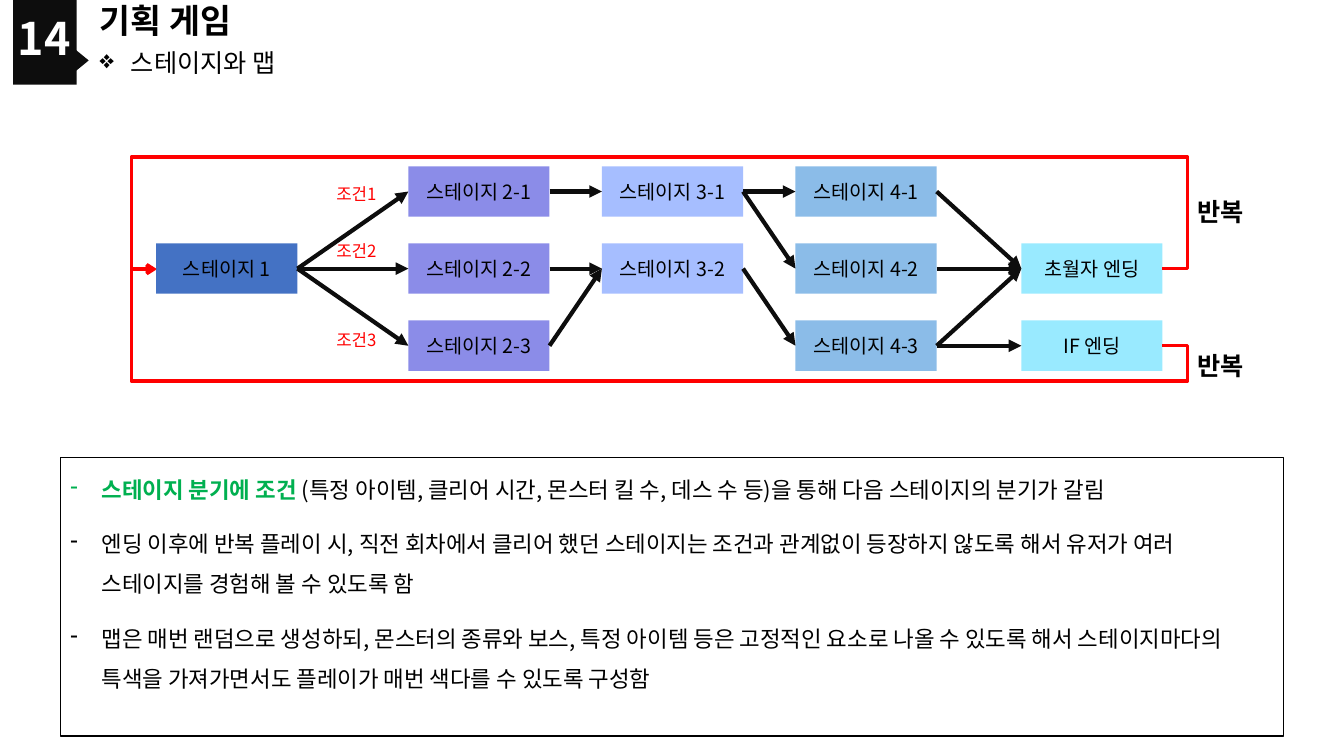
from lxml import etree
from pptx import Presentation, util as u
from pptx.dml.color import RGBColor
from pptx.enum import shapes as sh, text as tx
from pptx.oxml.ns import qn

FONT = "Noto Sans CJK KR"
BLACK = RGBColor(0, 0, 0)
INK = RGBColor(0x0D, 0x0D, 0x0D)
WHITE = RGBColor(0xFF, 0xFF, 0xFF)
RED = RGBColor(0xFF, 0, 0)
GREEN = RGBColor(0, 0xB0, 0x50)
BLUE = RGBColor(0x44, 0x72, 0xC4)
VIOLET = RGBColor(0x8B, 0x8C, 0xE8)
LILAC = RGBColor(0xA6, 0xBE, 0xFF)
SKY = RGBColor(0x8B, 0xBC, 0xE8)
CYAN = RGBColor(0x99, 0xEA, 0xFF)
LEFT, RIGHT = 1, 3  # connection sites of a rectangle

# Stage map: name -> column, row, fill
STAGES = {
    "스테이지 1": (0, 1, BLUE),
    "스테이지 2-1": (1, 0, VIOLET),
    "스테이지 2-2": (1, 1, VIOLET),
    "스테이지 2-3": (1, 2, VIOLET),
    "스테이지 3-1": (2, 0, LILAC),
    "스테이지 3-2": (2, 1, LILAC),
    "스테이지 4-1": (3, 0, SKY),
    "스테이지 4-2": (3, 1, SKY),
    "스테이지 4-3": (3, 2, SKY),
    "초월자 엔딩": (4, 1, CYAN),
    "IF 엔딩": (4, 2, CYAN),
}
# Arrows as pairs of (column, row)
ROUTES = [
    ((0, 1), (1, 0)), ((0, 1), (1, 1)), ((0, 1), (1, 2)),
    ((1, 0), (2, 0)), ((1, 1), (2, 1)), ((1, 2), (2, 1)),
    ((2, 0), (3, 0)), ((2, 0), (3, 1)), ((2, 1), (3, 2)),
    ((3, 0), (4, 1)), ((3, 1), (4, 1)), ((3, 2), (4, 1)), ((3, 2), (4, 2)),
]
NOTES = [
    [("스테이지 분기에 조건 ", GREEN),
     ("(특정 아이템, 클리어 시간, 몬스터 킬 수, 데스 수 등)을 통해 다음 스테이지의 분기가 갈림", BLACK)],
    [("엔딩 이후에 반복 플레이 시, 직전 회차에서 클리어 했던 스테이지는 조건과 관계없이 "
      "등장하지 않도록 해서 유저가 여러 스테이지를 경험해 볼 수 있도록 함", BLACK)],
    [("맵은 매번 랜덤으로 생성하되, 몬스터의 종류와 보스, 특정 아이템 등은 고정적인 요소로 "
      "나올 수 있도록 해서 스테이지마다의 특색을 가져가면서도 플레이가 매번 색다를 수 있도록 구성함", BLACK)],
]


def inch(*vals):
    return [u.Inches(v) for v in vals]


def style(para, size, color=BLACK, bold=False, align=tx.PP_ALIGN.LEFT, lead=None):
    para.alignment = align
    if lead:
        para.line_spacing = lead
    font = para.font
    font.name, font.size, font.bold = FONT, u.Pt(size), bold
    font.color.rgb = color
    props = para._p.pPr.find(qn("a:defRPr"))
    etree.SubElement(props, qn("a:ea"), typeface=FONT)


def bullet(para, char, color=BLACK):
    props = para._p.get_or_add_pPr()
    props.set("marL", str(u.Inches(0.31)))
    props.set("indent", str(-u.Inches(0.31)))
    tint = etree.SubElement(props, qn("a:buClr"))
    etree.SubElement(tint, qn("a:srgbClr"), val=str(color))
    etree.SubElement(props, qn("a:buChar"), char=char)


def block(slide, kind, box, fill=None, line=None):
    item = slide.shapes.add_shape(kind, *inch(*box))
    item.shadow.inherit = False
    if fill is None:
        item.fill.background()
    else:
        item.fill.solid()
        item.fill.fore_color.rgb = fill
    if line is None:
        item.line.fill.background()
    else:
        item.line.color.rgb = line
        item.line.width = u.Pt(1.25)
    return item


def label(slide, box, words, size, anchor=tx.MSO_ANCHOR.TOP, **look):
    frame = slide.shapes.add_textbox(*inch(*box)).text_frame
    frame.vertical_anchor = anchor
    frame.text = words
    style(frame.paragraphs[0], size, **look)
    return frame


def link(slide, kind, start, end, color, width, head):
    wire = slide.shapes.add_connector(kind, *inch(*start, *end))
    wire.line.color.rgb = color
    wire.line.width = u.Pt(width)
    etree.SubElement(wire.line._get_or_add_ln(), qn("a:tailEnd"), type=head)
    etree.SubElement(wire._element.spPr, qn("a:effectLst"))
    return wire


def loop(slide, start, end, lane, side):
    """Red way back: out by side, along the lane, in by side."""
    wire = link(slide, sh.MSO_CONNECTOR.ELBOW, start, end, RED, 2.25, "arrow")
    wide = start[0] - end[0]
    turns = (-side / wide, (lane - start[1]) / (end[1] - start[1]), 1 + side / wide)
    geom = wire._element.spPr.find(qn("a:prstGeom"))
    geom.set("prst", "bentConnector5")
    marks = geom.find(qn("a:avLst"))
    if marks is None:
        marks = etree.SubElement(geom, qn("a:avLst"))
    for i, turn in enumerate(turns, 1):
        etree.SubElement(marks, qn("a:gd"), name=f"adj{i}", fmla=f"val {round(turn * 100000)}")


def header(slide, x, y, w, h):
    # Page tag
    block(slide, sh.MSO_SHAPE.RECTANGLE, (x + 0.13, y, 0.63, h), INK)
    tip = block(slide, sh.MSO_SHAPE.ISOSCELES_TRIANGLE, (x + 0.59, y + 0.49, 0.36, 0.22), INK)
    tip.rotation = 90
    mid = tx.MSO_ANCHOR.MIDDLE
    tag = label(slide, (x, y, 0.88, 0.82), "14", 32, mid, color=WHITE, bold=True,
                align=tx.PP_ALIGN.CENTER, lead=0.9)
    tag.word_wrap = True

    # Title and subtitle
    title = slide.shapes.title
    title.left, title.top, title.width, title.height = inch(x + 0.89, y, w - 0.89, 0.44)
    frame = title.text_frame
    frame.text = "기획 게임"
    frame.vertical_anchor = mid
    frame.auto_size = tx.MSO_AUTO_SIZE.NONE
    style(frame.paragraphs[0], 24, bold=True, lead=0.9)
    sub = slide.shapes.add_textbox(*inch(x + 0.89, y + 0.46, w - 0.89, 0.36)).text_frame
    sub.word_wrap = True
    sub.vertical_anchor = mid
    sub.text = "스테이지와 맵"
    bullet(sub.paragraphs[0], "❖")
    style(sub.paragraphs[0], 18, lead=0.9)


def stages(slide, x, y, w, h):
    cols = [x + dx for dx in (0.25, 2.75, 4.67, 6.59, 8.83)]
    rows = [y + 0.11 + 0.765 * r for r in range(3)]
    wide, tall = 1.4, 0.5
    mids = [row + tall / 2 for row in rows]

    # Stage boxes
    nodes = {}
    for name, (col, row, fill) in STAGES.items():
        node = block(slide, sh.MSO_SHAPE.RECTANGLE, (cols[col], rows[row], wide, tall), fill)
        node.text_frame.text = name
        node.text_frame.vertical_anchor = tx.MSO_ANCHOR.MIDDLE
        style(node.text_frame.paragraphs[0], 14, align=tx.PP_ALIGN.CENTER)
        nodes[col, row] = node

    # Arrows between stages
    for (c1, r1), (c2, r2) in ROUTES:
        wire = link(slide, sh.MSO_CONNECTOR.STRAIGHT, (cols[c1] + wide, mids[r1]),
                    (cols[c2], mids[r2]), INK, 3, "triangle")
        wire.begin_connect(nodes[c1, r1], RIGHT)
        wire.end_connect(nodes[c2, r2], LEFT)

    # Conditions of the first branch
    for i, dy in enumerate((0.23, 0.8, 1.68), 1):
        cond = label(slide, (x + 1.92, y + dy, 0.63, 0.3), f"조건{i}", 12, color=RED,
                     align=tx.PP_ALIGN.CENTER)
        cond.word_wrap = True

    # Loops back to the first stage
    for row, lane, dy, gap in ((1, y, 0.36, 0.01), (2, y + h, 1.89, mids[1] - mids[2])):
        start = (cols[4] + wide, mids[row])
        loop(slide, start, (cols[0], mids[row] + gap), lane, 0.25)
        label(slide, (x + w, y + dy, 0.71, 0.4), "반복", 18, bold=True).word_wrap = False


def notes(slide, *box):
    frame = block(slide, sh.MSO_SHAPE.RECTANGLE, box, line=BLACK).text_frame
    frame.word_wrap = True
    frame.vertical_anchor = tx.MSO_ANCHOR.TOP
    for i, parts in enumerate(NOTES):
        para = frame.add_paragraph() if i else frame.paragraphs[0]
        bullet(para, "-", parts[0][1])
        if i:
            para.space_before = u.Pt(10)
        style(para, 16, lead=1.5)
        for words, color in parts:
            run = para.add_run()
            run.text = words
            run.font.color.rgb = color
            run.font.bold = color == GREEN


def main():
    deck = Presentation()
    deck.slide_width, deck.slide_height = inch(13.33, 7.5)
    slide = deck.slides.add_slide(deck.slide_layouts[5])
    header(slide, 0, 0, 8.25, 0.84)
    stages(slide, 1.3, 1.54, 10.48, 2.24)
    notes(slide, 0.6, 4.54, 12.13, 2.76)
    deck.save("out.pptx")


if __name__ == "__main__":
    main()
